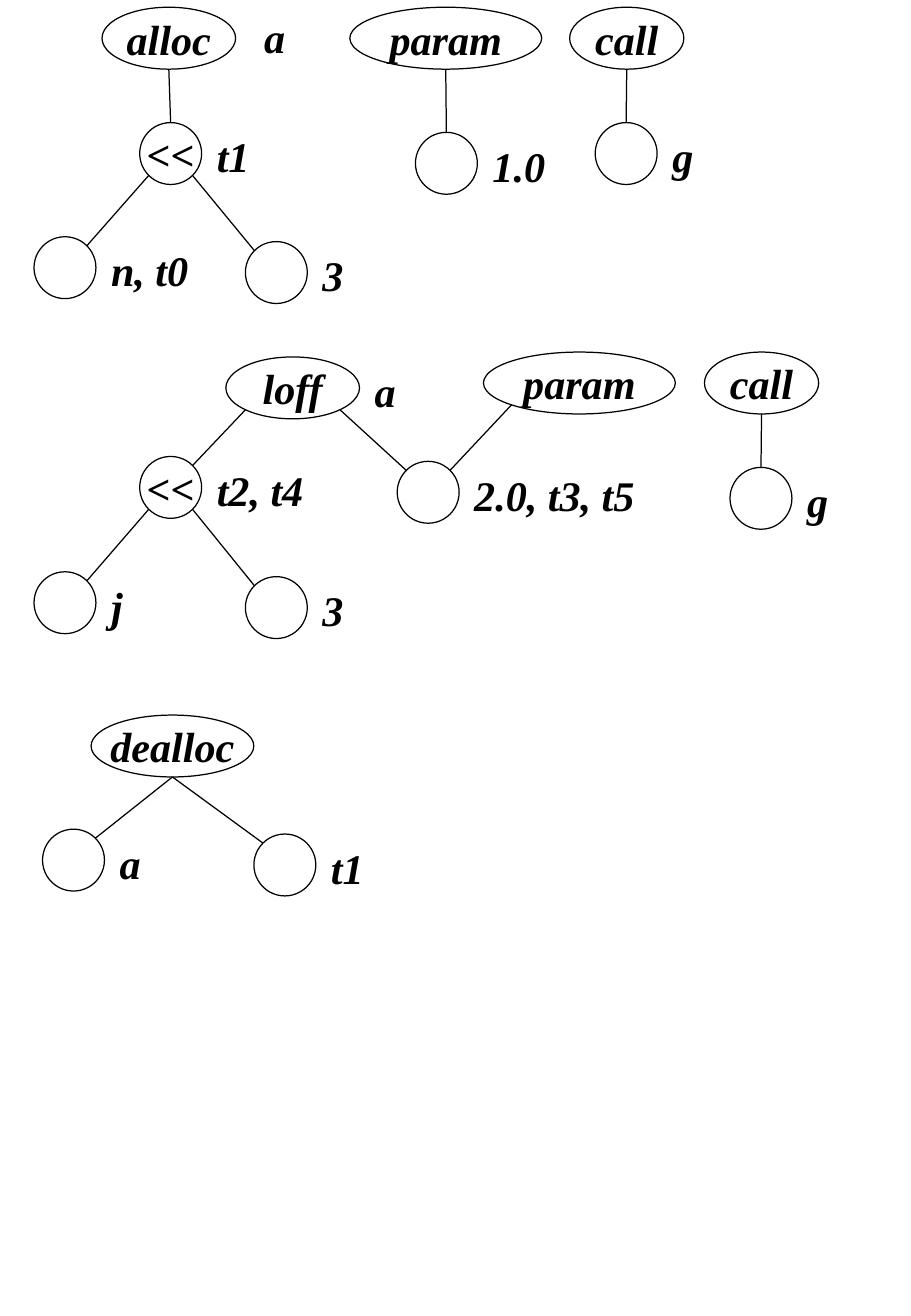
"""Draw the expression trees of the alloc, loff and dealloc code blocks."""
import math

import lxml.etree
import pptx
import pptx.dml.color
import pptx.enum.shapes
import pptx.enum.text
import pptx.oxml.ns
import pptx.util

THEME = {
    "ink": pptx.dml.color.RGBColor(0, 0, 0),
    "line_width": pptx.util.Pt(0.75),
    "font": {"name": "Times New Roman", "size": pptx.util.Pt(25), "bold": True, "italic": True},
    "frame": {
        "word_wrap": False,
        "vertical_anchor": pptx.enum.text.MSO_ANCHOR.MIDDLE,
        "margin_left": pptx.util.Inches(0.1),
        "margin_right": pptx.util.Inches(0.1),
        "margin_top": pptx.util.Inches(0.05),
        "margin_bottom": pptx.util.Inches(0.05),
    },
    "label_margins": {
        "margin_left": pptx.util.Inches(0.11),
        "margin_right": pptx.util.Inches(0.11),
    },
}
COLUMNS, ROWS = 75, 108.4
CELL = pptx.util.Inches(7.5) / COLUMNS
NODE_HEIGHT = 5.1
LABEL_WIDTH, LABEL_HEIGHT = 4.3, 4.7
LABEL_GAP, LABEL_DROP = 0.15, 0.4
DIAGONAL = math.sqrt(0.5)
LEFT, MIDDLE, RIGHT = -1, 0, 1
ABOVE, BELOW = -1, 1

nodes = {
    "alloc": (8.4, 0.6, 11, "alloc", ""),
    "alloc shift": (11.5, 10.1, 5.1, "<<", "t1"),
    "alloc count": (2.8, 19.5, 5.1, "", "n, t0"),
    "alloc bits": (20.2, 19.9, 5.1, "", "3"),
    "first param": (28.8, 0.6, 15.8, "param", ""),
    "first value": (34.2, 10.9, 5.1, "", "1.0"),
    "first call": (46.9, 0.6, 9.4, "call", ""),
    "first callee": (49, 10.1, 5.1, "", "g"),
    "loff": (18.6, 29.4, 11, "loff", "a"),
    "loff shift": (11.5, 37.6, 5.1, "<<", "t2, t4"),
    "loff index": (2.8, 47.1, 5.1, "", "j"),
    "loff bits": (20.2, 47.5, 5.1, "", "3"),
    "second param": (39.8, 29, 15.8, "param", ""),
    "second value": (32.7, 38, 5.1, "", "2.0, t3, t5"),
    "second call": (58, 29, 9.4, "call", ""),
    "second callee": (60.1, 38.5, 5.1, "", "g"),
    "dealloc": (7.5, 58.9, 13.4, "dealloc", ""),
    "dealloc array": (3.5, 68.3, 5.1, "", "a"),
    "dealloc size": (20.9, 68.7, 5.1, "", "t1"),
}
edges = [
    ("alloc", MIDDLE, "alloc shift", MIDDLE),
    ("alloc shift", LEFT, "alloc count", RIGHT),
    ("alloc shift", RIGHT, "alloc bits", LEFT),
    ("first param", MIDDLE, "first value", MIDDLE),
    ("first call", MIDDLE, "first callee", MIDDLE),
    ("loff", LEFT, "loff shift", RIGHT),
    ("loff", RIGHT, "second value", LEFT),
    ("loff shift", LEFT, "loff index", RIGHT),
    ("loff shift", RIGHT, "loff bits", LEFT),
    ("second param", LEFT, "second value", RIGHT),
    ("second call", MIDDLE, "second callee", MIDDLE),
    ("dealloc", MIDDLE, "dealloc array", RIGHT),
    ("dealloc", MIDDLE, "dealloc size", LEFT),
]


def rim_point(node, side, vertical):
    """Return the point on a node's rim at the given side and height."""
    column, row, width = nodes[node][:3]
    reach = DIAGONAL if side else 1
    x = column + width / 2 * (1 + side * reach)
    y = row + NODE_HEIGHT / 2 * (1 + vertical * reach)
    return round(x * CELL), round(y * CELL)


def write(shape, text, alignment, margins):
    """Set the text of a shape in the theme's type."""
    frame = shape.text_frame
    for key, value in {**THEME["frame"], **margins}.items():
        setattr(frame, key, value)
    paragraph = frame.paragraphs[0]
    paragraph.alignment = alignment
    run = paragraph.add_run()
    run.text = text
    for key, value in THEME["font"].items():
        setattr(run.font, key, value)
    run.font.color.rgb = THEME["ink"]


deck = pptx.Presentation()
deck.slide_width = round(COLUMNS * CELL)
deck.slide_height = round(ROWS * CELL)
slide = deck.slides.add_slide(deck.slide_layouts[6])

labels = [
    (column + width + LABEL_GAP, row + LABEL_DROP, label)
    for column, row, width, operator, label in nodes.values()
    if label
]
labels.append((20.65, 0.65, "a"))

for column, row, width, operator, label in nodes.values():
    box = [round(length * CELL) for length in (column, row, width, NODE_HEIGHT)]
    ellipse = slide.shapes.add_shape(pptx.enum.shapes.MSO_SHAPE.OVAL, *box)
    ellipse.shadow.inherit = False
    ellipse.fill.background()
    ellipse.line.color.rgb = THEME["ink"]
    ellipse.line.width = THEME["line_width"]
    if operator:
        write(ellipse, operator, pptx.enum.text.PP_ALIGN.CENTER, {})

for column, row, label in labels:
    left, top, right, bottom = [
        round(length * CELL)
        for length in (column, row, column + LABEL_WIDTH, row + LABEL_HEIGHT)
    ]
    outline = slide.shapes.build_freeform(left, top)
    outline.add_line_segments([(right, top), (right, bottom), (left, bottom)], close=True)
    caption = outline.convert_to_shape()
    caption.shadow.inherit = False
    caption.fill.background()
    caption.line.fill.background()
    write(caption, label, pptx.enum.text.PP_ALIGN.LEFT, THEME["label_margins"])

for parent, leaving, child, arriving in edges:
    branch = slide.shapes.add_connector(
        pptx.enum.shapes.MSO_CONNECTOR.STRAIGHT,
        *rim_point(parent, leaving, BELOW),
        *rim_point(child, arriving, ABOVE),
    )
    branch.line.color.rgb = THEME["ink"]
    branch.line.width = THEME["line_width"]
    properties = branch.element.find(pptx.oxml.ns.qn("p:spPr"))
    lxml.etree.SubElement(properties, pptx.oxml.ns.qn("a:effectLst"))

deck.save("out.pptx")
